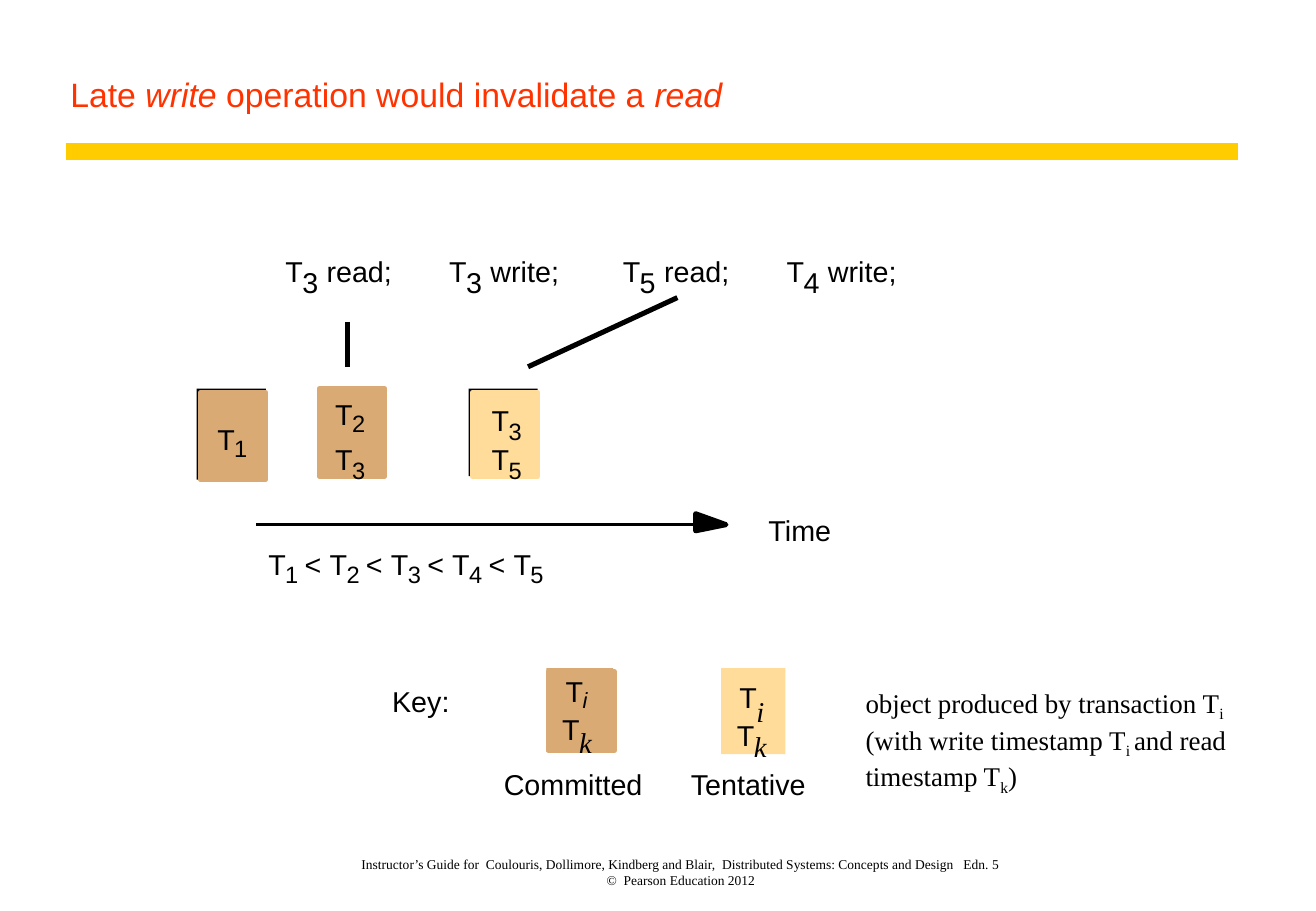
"""Slide on a late write that would invalidate a read, on a grid of tenths of an inch."""
from lxml.etree import SubElement
from pptx import Presentation
from pptx.dml.color import RGBColor
from pptx.enum.shapes import MSO_CONNECTOR as Link, MSO_SHAPE as Form
from pptx.enum.text import MSO_ANCHOR as Anchor, PP_ALIGN as Align
from pptx.oxml.ns import qn
from pptx.util import Inches, Pt

BLACK = RGBColor(0, 0, 0)
RED = RGBColor(0xFF, 0x33, 0)
GOLD = RGBColor(0xFF, 0xCC, 0)
TAN = RGBColor(0xD9, 0xAA, 0x73)
CREAM = RGBColor(0xFF, 0xDC, 0x99)
SANS, SERIF = "Arial", "Times New Roman"


def cells(*counts):
    return [Inches(count / 10) for count in counts]


def write(area, runs, size=17, face=SANS, ink=BLACK, anchor=Anchor.TOP, align=Align.LEFT):
    frame = slide.shapes.add_textbox(*cells(*area)).text_frame
    frame.margin_left = frame.margin_right = frame.margin_top = frame.margin_bottom = 0
    frame.word_wrap = True
    frame.vertical_anchor = anchor
    line = frame.paragraphs[0]
    line.alignment = align
    for text, style in runs:
        if text == "\n":
            line.add_line_break()
            continue
        run = line.add_run()
        run.text = text
        font = run.font
        font.size, font.name, font.italic = Pt(size), face, style == "italic"
        font.color.rgb = ink
        if style == "sub":
            run._r.get_or_add_rPr().set("baseline", "-25000")


deck = Presentation()
deck.slide_width, deck.slide_height = cells(108.4, 75)
slide = deck.slides.add_slide(deck.slide_layouts[6])

write((5.8, 0, 95, 9.4), [
    ("Late ", ""), ("write", "italic"),
    (" operation would invalidate a ", ""), ("read", "italic"),
], size=20, ink=RED, anchor=Anchor.BOTTOM)

write((23.1, 69.2, 66, 3.9), [
    ("Instructor’s Guide for  Coulouris, Dollimore, Kindberg and Blair,  "
     "Distributed Systems: Concepts and Design   Edn. 5", ""),
    ("\n", ""), ("©  Pearson Education 2012", ""),
], size=8, face=SERIF, anchor=Anchor.BOTTOM, align=Align.CENTER)

lines = [
    ((5.4, 12.5, 102, 12.5), GOLD, 10),
    ((28.6, 26.5, 28.6, 30.2), BLACK, 3),
    ((43.5, 30.2, 55.8, 24.5), BLACK, 3),
    ((21.1, 43.2, 57.3, 43.2), BLACK, 2),
]
for ends, ink, width in lines:
    line = slide.shapes.add_connector(Link.STRAIGHT, *cells(*ends))
    line.line.color.rgb = ink
    line.line.width = Pt(width)
    SubElement(line._element.spPr, qn("a:effectLst"))

pen = slide.shapes.build_freeform(*cells(57.3, 42.3))
pen.add_line_segments([cells(59.8, 43.2), cells(57.3, 43.7)], close=True)
head = pen.convert_to_shape()
head.shadow.inherit = False
head.fill.solid()
head.fill.fore_color.rgb = BLACK
head.line.color.rgb = BLACK
head.line.width = Pt(3)

boxes = [
    ((16.2, 32, 5.7, 7.5), BLACK, 0),
    ((16.5, 32.3, 5.4, 7.2), TAN, 3),
    ((26.3, 32, 5.4, 7.2), TAN, 3),
    ((38.6, 32, 5.7, 7.2), BLACK, 0),
    ((38.9, 32.3, 5.4, 6.9), CREAM, 3),
    ((45, 55, 5.5, 6.9), TAN, 0),
    ((45.2, 55.3, 5.4, 6.5), TAN, 3),
    ((59.4, 55, 5.3, 7.1), CREAM, 0),
]
for area, tint, edge in boxes:
    box = slide.shapes.add_shape(Form.RECTANGLE, *cells(*area))
    box.shadow.inherit = False
    box.fill.solid()
    box.fill.fore_color.rgb = tint
    if edge:
        box.line.color.rgb = tint
        box.line.width = Pt(edge)
    else:
        box.line.fill.background()

marks = [
    (17.9, 34.7, "1", 14, 1, SANS, ""),
    (27.6, 32.7, "2", 14, 1, SANS, ""),
    (27.6, 36.4, "3", 14, 1.1, SANS, ""),
    (40.5, 33.2, "3", 14, 1.1, SANS, ""),
    (40.5, 36.4, "5", 14, 1.1, SANS, ""),
    (46.6, 55.5, "i", 13, 1, SANS, "italic"),
    (46.3, 58.6, "k", 17, 1.1, SERIF, "italic"),
    (60.9, 56, "i", 17, 1.1, SERIF, "italic"),
    (60.7, 59.1, "k", 17, 0.9, SERIF, "italic"),
]
steps = [(23.5, "3", "read;"), (37, "3", "write;"), (51.3, "5", "read;"), (64.8, "4", "write;")]
for x, digit, verb in steps:
    marks.append((x, 20.9, digit, 17, 0.9, SANS, ""))
    write((x + 3.4, 20.9, 6, 2.8), [(verb, "")])
for rank in range(5):
    x = 22.1 + 5.05 * rank
    marks.append((x, 45, str(rank + 1), 14, 1.1, SANS, ""))
    if rank:
        write((x - 2.05, 45, 1.6, 2.8), [("<", "")])
for x, y, sub, size, drop, face, style in marks:
    write((x, y, 1.5, 2.8), [("T", "")])
    write((x + 1.4, y + drop, 1.4, size / 6), [(sub, style)], size, face)

labels = [
    ("Time", 63.3, 42.2, 5.5), ("Key:", 32.3, 56.3, 5),
    ("Committed", 41.5, 63.1, 11.6), ("Tentative", 56.9, 63.1, 9.9),
]
for text, x, y, wide in labels:
    write((x, y, wide, 2.8), [(text, "")])

write((71.3, 56.5, 31, 10.4), [
    ("object produced by transaction T", ""), ("i", "sub"),
    (" (with write timestamp T", ""), ("i ", "sub"),
    ("and read timestamp T", ""), ("k", "sub"), (")", ""),
], size=16, face=SERIF)

deck.save("out.pptx")
